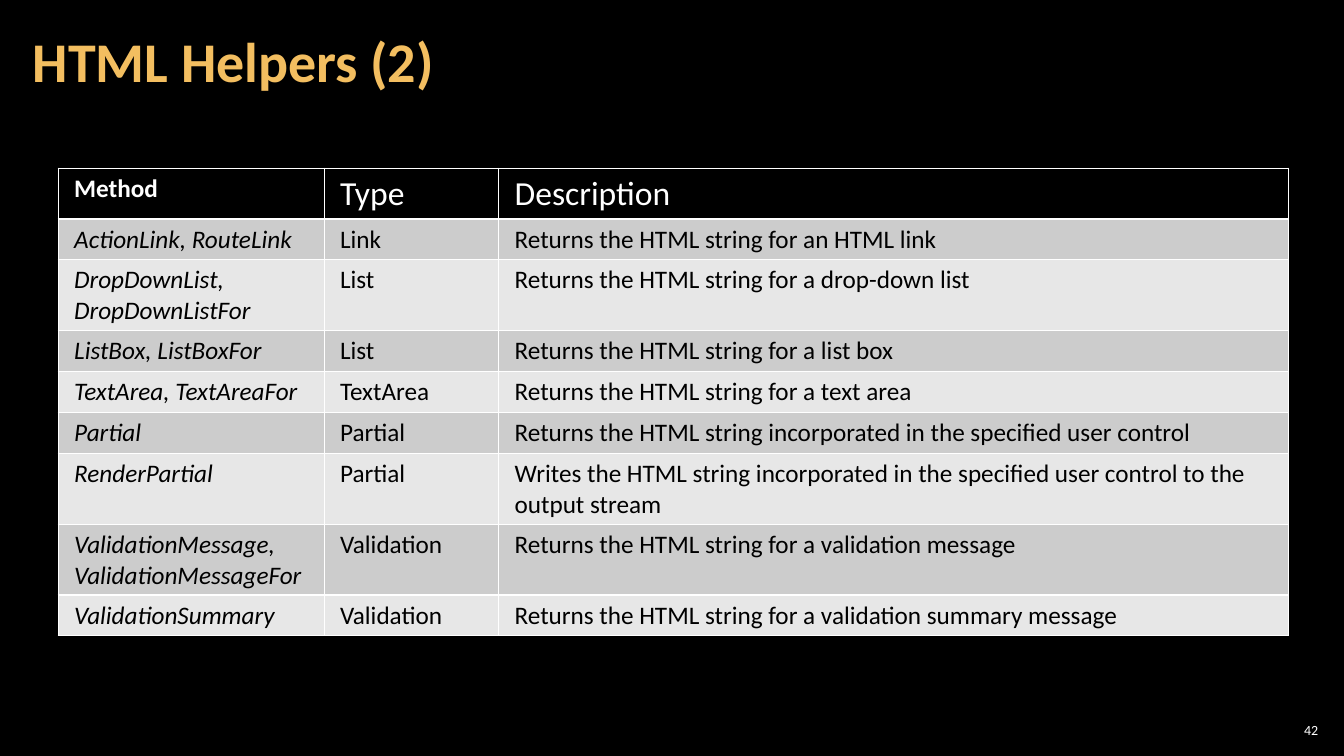
from dataclasses import dataclass

from lxml.etree import SubElement
from pptx import Presentation
from pptx.dml.color import RGBColor
from pptx.enum.text import MSO_ANCHOR, PP_ALIGN
from pptx.oxml.ns import qn
from pptx.util import Cm, Pt


@dataclass(frozen=True)
class Theme:
    font: str = "Calibri"
    background: str = "000000"
    title: str = "F3BE60"
    light: str = "FFFFFF"
    dark: str = "000000"
    bands: tuple = ("CCCCCC", "E7E7E7")
    title_size: int = 40
    header_size: int = 24
    body_size: int = 18
    number_size: int = 10
    border_width: int = 1


theme = Theme()


def style_text(paragraph, text, size, color, bold=False, italic=False):
    paragraph.text = text
    font = paragraph.font
    font.name, font.size = theme.font, Pt(size)
    font.bold, font.italic = bold, italic
    font.color.rgb = RGBColor.from_string(color)


def add_text(left, top, width, height, side_inset):
    frame = slide.shapes.add_textbox(Cm(left), Cm(top), Cm(width), Cm(height)).text_frame
    frame.word_wrap = True
    frame.vertical_anchor = MSO_ANCHOR.MIDDLE
    frame.margin_left = frame.margin_right = Cm(side_inset)
    frame.margin_top = frame.margin_bottom = Cm(0.1)
    return frame.paragraphs[0]


presentation = Presentation()
presentation.slide_width, presentation.slide_height = Cm(33.87), Cm(19.05)
slide = presentation.slides.add_slide(presentation.slide_layouts[6])
slide.background.fill.solid()
slide.background.fill.fore_color.rgb = RGBColor.from_string(theme.background)

# Title
title = add_text(0.53, 0.1, 26.6, 3.07, side_inset=0.3)
title.line_spacing = 0.9
style_text(title, "HTML Helpers (2)", theme.title_size, theme.title, bold=True)

# Helper methods table
rows = [
    ("Method", "Type", "Description"),
    ("ActionLink, RouteLink", "Link", "Returns the HTML string for an HTML link"),
    ("DropDownList, DropDownListFor", "List", "Returns the HTML string for a drop-down list"),
    ("ListBox, ListBoxFor", "List", "Returns the HTML string for a list box"),
    ("TextArea, TextAreaFor", "TextArea", "Returns the HTML string for a text area"),
    ("Partial", "Partial",
     "Returns the HTML string incorporated in the specified user control"),
    ("RenderPartial", "Partial",
     "Writes the HTML string incorporated in the specified user control to the output stream"),
    ("ValidationMessage, ValidationMessageFor", "Validation",
     "Returns the HTML string for a validation message"),
    ("ValidationSummary", "Validation",
     "Returns the HTML string for a validation summary message"),
]
column_widths = (6.7, 4.4, 19.91)
row_height = 1.03
table = slide.shapes.add_table(
    len(rows), len(column_widths), Cm(1.47), Cm(4.24),
    Cm(sum(column_widths)), Cm(row_height * len(rows)),
).table
table.horz_banding = False
for column, width in zip(table.columns, column_widths):
    column.width = Cm(width)

for row_index, texts in enumerate(rows):
    table.rows[row_index].height = Cm(row_height)
    is_header = row_index == 0
    for column_index, text in enumerate(texts):
        is_method = column_index == 0
        cell = table.cell(row_index, column_index)
        cell.margin_left = cell.margin_right = Cm(0.4)
        cell.margin_top = cell.margin_bottom = Cm(0.13)

        # Cell borders
        properties = cell._tc.get_or_add_tcPr()
        for side in ("a:lnL", "a:lnR", "a:lnT", "a:lnB"):
            line = SubElement(properties, qn(side), w=str(Pt(theme.border_width)))
            line_fill = SubElement(line, qn("a:solidFill"))
            SubElement(line_fill, qn("a:srgbClr"), val=theme.light)

        # Cell fill and text
        fill = theme.background if is_header else theme.bands[(row_index - 1) % 2]
        cell.fill.solid()
        cell.fill.fore_color.rgb = RGBColor.from_string(fill)
        style_text(
            cell.text_frame.paragraphs[0], text,
            theme.header_size if is_header and not is_method else theme.body_size,
            theme.light if is_header else theme.dark,
            bold=is_header and is_method,
            italic=is_method and not is_header,
        )

# Slide number
number = add_text(32.13, 18.14, 1.19, 0.53, side_inset=0.1)
number.alignment = PP_ALIGN.RIGHT
style_text(number, "42", theme.number_size, theme.light)

presentation.save("out.pptx")
